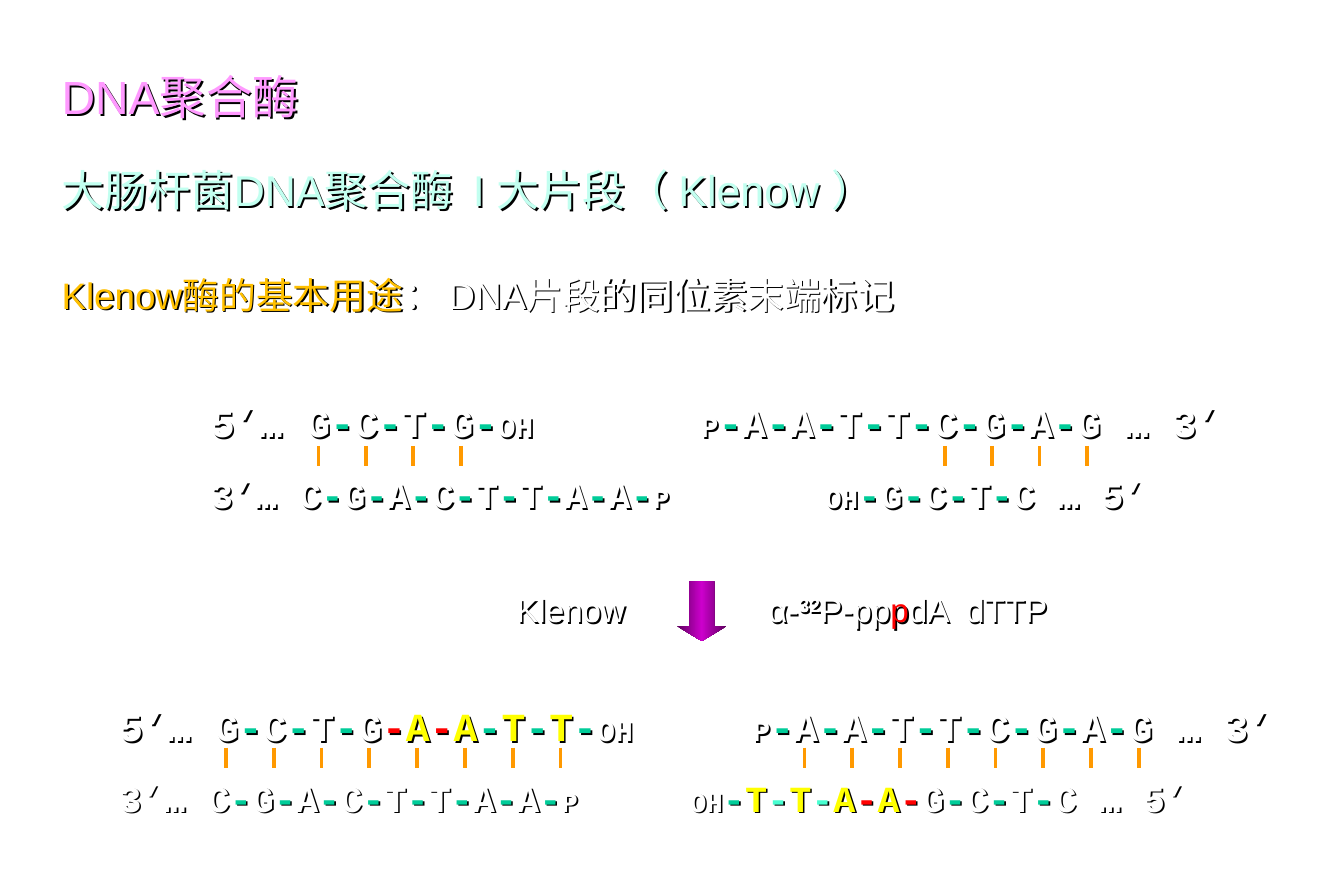
from copy import deepcopy
from itertools import groupby

from lxml import etree
from pptx import Presentation
from pptx.dml.color import RGBColor
from pptx.enum.shapes import MSO_CONNECTOR, MSO_SHAPE
from pptx.enum.text import MSO_ANCHOR, MSO_AUTO_SIZE, PP_ALIGN
from pptx.oxml import parse_xml
from pptx.oxml.ns import nsdecls, qn
from pptx.util import Inches, Pt

WHITE, TEAL, PALE_TEAL = "FFFFFF", "00CC99", "47FFD1"
RED, YELLOW, AMBER = "FF0000", "FFFF00", "FFC000"
MINT, PINK, ORANGE = "C2FFF0", "FF99FF", "FF9900"
PURPLE, DARK_PURPLE = "CC00CC", "5E005E"
SHADOW = (f'<a:effectLst {nsdecls("a")}><a:outerShdw dist="17961" dir="2700000" '
          'algn="ctr" rotWithShape="0"><a:srgbClr val="000000"/></a:outerShdw></a:effectLst>')


def rgb(value):
    return RGBColor.from_string(value)


class Deck:
    """Style and current slide; lengths in columns and rows of a 135 x 90 grid."""

    COLS, ROWS = 135, 90
    SANS, MONO, CJK = "Arial", "Courier New", "Noto Sans CJK SC"

    def __init__(self, prs):
        self.col = prs.slide_width / self.COLS
        self.row = prs.slide_height / self.ROWS
        self.slide = prs.slides.add_slide(prs.slide_layouts[1])

    def x(self, cols):
        return round(cols * self.col)

    def y(self, rows):
        return round(rows * self.row)

    def area(self, col, row, width, height):
        return self.x(col), self.y(row), self.x(width), self.y(height)

    def add_run(self, p, text, color, size, font, bold=False, raised=False):
        r = p.add_run()
        r.text = text
        r.font.size, r.font.bold = Pt(size), bold
        r.font.color.rgb = rgb(color)
        r.font.name = font
        rPr = r._r.get_or_add_rPr()
        ea = etree.Element(qn("a:ea"), typeface=self.CJK)
        rPr.find(qn("a:latin")).addnext(ea)
        if raised:
            rPr.set("baseline", "30000")

    def fill_text(self, sp, runs, size, font, spacing=1.4, align=PP_ALIGN.LEFT):
        # The shadow of an unfilled box falls from its letters
        sp.fill.background()
        sp._element.spPr.append(parse_xml(SHADOW))
        tf = sp.text_frame
        tf.word_wrap, tf.auto_size = True, MSO_AUTO_SIZE.NONE
        tf.vertical_anchor = MSO_ANCHOR.TOP
        p = tf.paragraphs[0]
        pPr = p._p.get_or_add_pPr()
        pPr.set("marL", "0")
        pPr.set("indent", "0")
        etree.SubElement(pPr, qn("a:buNone"))
        p.alignment, p.line_spacing, p.space_before = align, spacing, Pt(0)
        for text, color, *style in runs:
            self.add_run(p, text, color, *(style or (size, font)))

    def placeholder(self, index, area, runs, size):
        sp = self.slide.placeholders[index]
        sp.left, sp.top, sp.width, sp.height = self.area(*area)
        self.fill_text(sp, runs, size, self.SANS)

    def label(self, area, runs, size, font=SANS, **options):
        sp = self.slide.shapes.add_textbox(*self.area(*area))
        self.fill_text(sp, runs, size, font, **options)

    def strand(self, col, row, width, parts, size, spacing):
        """Plain parts have white bases, teal bonds and small end groups."""
        def look(char):
            return TEAL if char == "-" else WHITE, char in "OHP"

        runs = []
        for part in parts:
            if isinstance(part, tuple):
                runs.append((*part, size, self.MONO, True))
                continue
            for (color, small), chars in groupby(part, look):
                pts = size * 0.75 if small else size
                runs.append(("".join(chars), color, pts, self.MONO, True))
        self.label((col, row, width, 9.2), runs, size, self.MONO, spacing=spacing)

    def fragments(self, cols, row, left, right, size, spacing):
        """Two DNA fragments on one row, between three column marks."""
        start, middle, end = cols
        self.strand(start, row, middle - start, left, size, spacing)
        self.strand(middle, row, end - middle, right, size, spacing)

    def base_pairs(self, col, row, count, step):
        for i in range(count):
            x = self.x(col + i * step)
            line = self.slide.shapes.add_connector(
                MSO_CONNECTOR.STRAIGHT, x, self.y(row), x, self.y(row + 2))
            line.line.color.rgb, line.line.width = rgb(ORANGE), Pt(2.25)
            etree.SubElement(line._element.spPr, qn("a:effectLst"))

    def down_arrow(self, area, edge, middle):
        sp = self.slide.shapes.add_shape(MSO_SHAPE.DOWN_ARROW, *self.area(*area))
        sp.shadow.inherit = False
        sp.adjustments[0], sp.adjustments[1] = 0.5, 0.3
        sp.line.fill.background()
        sp.fill.gradient()
        sp.fill.gradient_angle = 0
        stops = sp._element.spPr.find(".//" + qn("a:gsLst"))
        stops.append(deepcopy(stops[0]))
        for i, color in enumerate((edge, middle, edge)):
            stop = sp.fill.gradient_stops[i]
            stop.color.rgb, stop.position = rgb(color), i / 2


def main():
    prs = Presentation()
    prs.slide_width, prs.slide_height = Inches(11.25), Inches(7.5)
    deck = Deck(prs)

    # Headings
    deck.placeholder(0, (5, 4, 48, 9.2), [("DNA聚合酶", PINK)], 28)
    deck.placeholder(1, (5, 13.8, 97, 9.2),
                     [("大肠杆菌DNA聚合酶  I 大片段（ Klenow ）", MINT)], 25.9)
    deck.label((5, 25, 94.7, 8),
               [("Klenow酶的基本用途", AMBER), ("： DNA", WHITE),
                ("片段的同位素末端标记", WHITE)], 22.2)

    # Cut ends before labelling
    deck.fragments((20, 69.2, 125), 37, ["5’… G-C-T-G-OH"],
                   ["P-A-A-T-T-C-G-A-G … 3’"], 24, 1.5)
    deck.fragments((20, 81.7, 125), 45, ["3’… C-G-A-C-T-T-A-A-P"],
                   ["OH-G-C-T-C … 5’"], 22.2, 1.4)
    for col in (32, 94.9):
        deck.base_pairs(col, 44.8, 4, 4.76)

    # Labelling reaction
    deck.down_arrow((68, 58.4, 5, 6), DARK_PURPLE, PURPLE)
    deck.label((50, 57, 14, 7), [("Klenow", WHITE)], 20, align=PP_ALIGN.RIGHT)
    deck.label((76, 57, 39, 7),
               [("α-", WHITE), ("32", WHITE, 20, deck.SANS, True, True), ("P-pp", WHITE),
                ("p", RED), ("dA  dTTP", WHITE)], 20)

    # Filled ends after labelling
    new_a, new_t = ("A", YELLOW), ("T", YELLOW)
    hot, pale = ("-", RED), ("-", PALE_TEAL)
    deck.fragments((10.8, 74.4, 130.1), 67.5,
                   ["5’… G-C-T-G", hot, new_a, hot, new_a, "-", new_t, "-", new_t, "-OH"],
                   ["P-A-A-T-T-C-G-A-G … 3’"], 24, 1.5)
    deck.fragments((10.8, 68.1, 130.1), 75.5, ["3’… C-G-A-C-T-T-A-A-P"],
                   ["OH-", new_t, pale, new_t, pale, new_a, hot, new_a, hot,
                    "G-C-T-C … 5’"], 22.2, 1.4)
    for col in (22.7, 80.8):
        deck.base_pairs(col, 75.1, 8, 4.8)

    prs.save("out.pptx")


if __name__ == "__main__":
    main()
